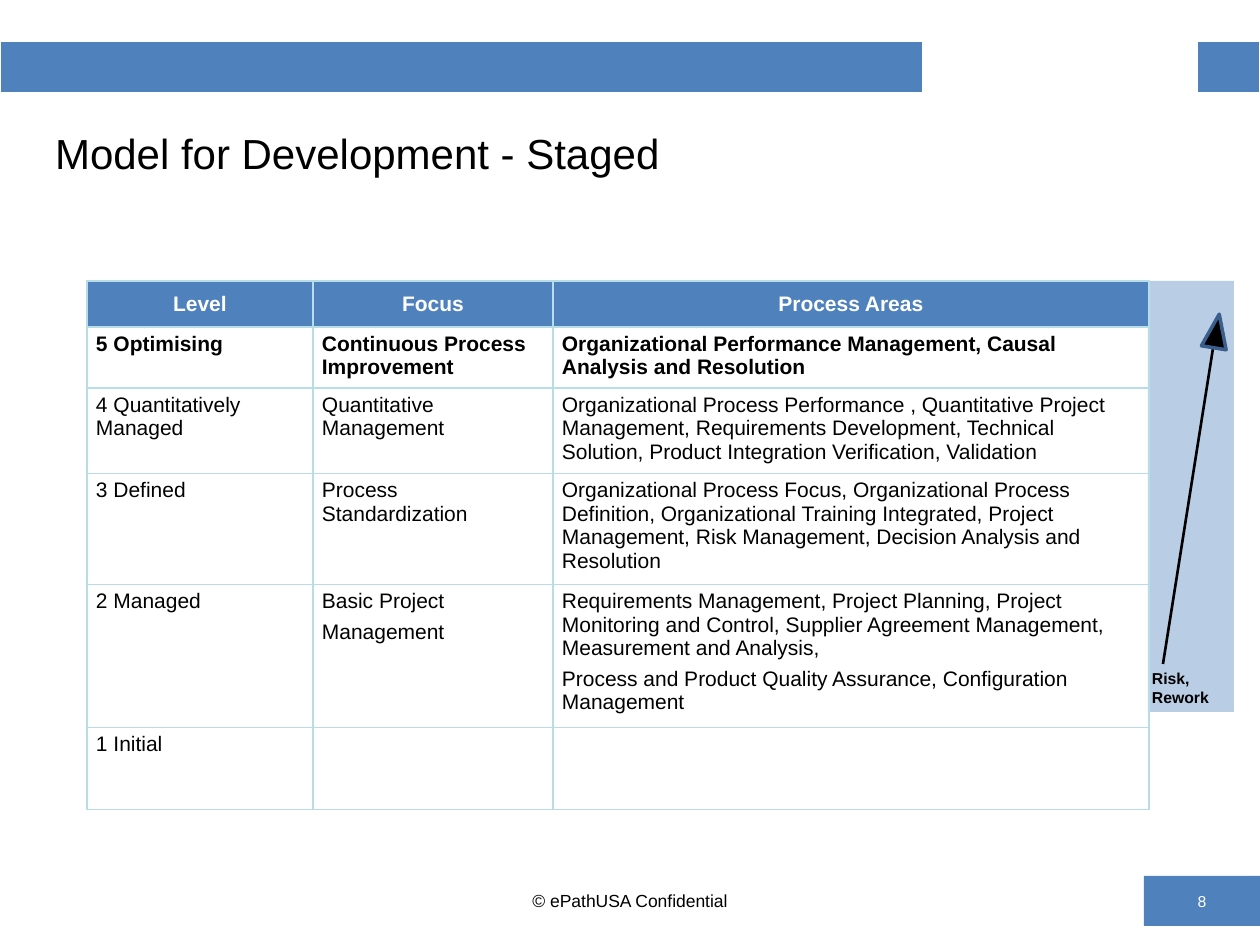
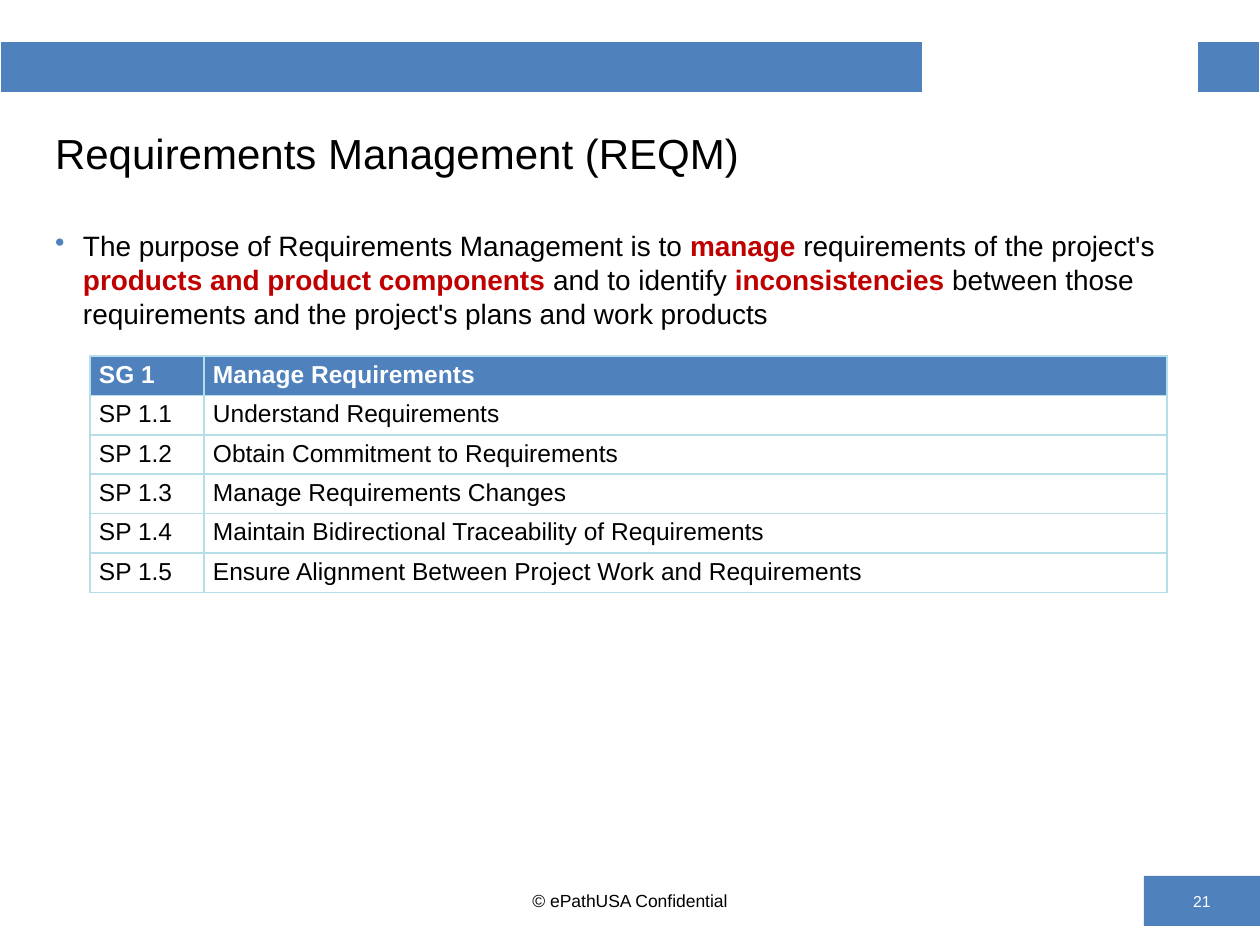
import dataclasses

import lxml.etree
import pptx
import pptx.dml.color
import pptx.enum.shapes
import pptx.enum.text
import pptx.oxml.ns
import pptx.util

SHAPE = pptx.enum.shapes.MSO_SHAPE
ALIGN = pptx.enum.text.PP_ALIGN
ANCHOR = pptx.enum.text.MSO_ANCHOR
EMU_PER_PX = 914400 / 126
SLIDE_WIDTH, SLIDE_HEIGHT = 1260, 945


@dataclasses.dataclass(frozen=True)
class Theme:
    font: str = "Arial"
    blue: str = "4F81BD"
    pale_blue: str = "B9CDE5"
    dark_blue: str = "3A5F8C"
    grid: str = "B7DEE8"
    red: str = "C00000"
    black: str = "000000"
    white: str = "FFFFFF"
    title: int = 24
    body: int = 16
    practice: int = 14
    level: int = 12
    footer: int = 10
    small: int = 9


THEME = Theme()

LEVEL_ROWS = [
    ("Level", "Focus", "Process Areas"),
    ("5 Optimising", "Continuous Process Improvement",
     "Organizational Performance Management, Causal Analysis and Resolution"),
    ("4 Quantitatively Managed", "Quantitative Management",
     "Organizational Process Performance , Quantitative Project Management, "
     "Requirements Development, Technical Solution, Product Integration "
     "Verification, Validation"),
    ("3 Defined", "Process Standardization",
     "Organizational Process Focus, Organizational Process Definition, "
     "Organizational Training Integrated, Project Management, Risk Management, "
     "Decision Analysis and Resolution"),
    ("2 Managed", "Basic Project\nManagement",
     "Requirements Management, Project Planning, Project Monitoring and Control, "
     "Supplier Agreement Management, Measurement and Analysis,\n"
     "Process and Product Quality Assurance, Configuration Management"),
    ("1 Initial", "", ""),
]

PRACTICE_ROWS = [
    ("SG 1", "Manage Requirements"),
    ("SP 1.1", "Understand Requirements"),
    ("SP 1.2", "Obtain Commitment to Requirements"),
    ("SP 1.3", "Manage Requirements Changes"),
    ("SP 1.4", "Maintain Bidirectional Traceability of Requirements"),
    ("SP 1.5", "Ensure Alignment Between Project Work and Requirements"),
]

PURPOSE = [  # text, emphasised
    ("The purpose of Requirements Management is to ", False),
    ("manage", True),
    (" requirements of the project's ", False),
    ("products and product components ", True),
    ("and to identify ", False),
    ("inconsistencies", True),
    (" between those requirements and the project's plans and work products", False),
]


def px(*lengths):
    return [pptx.util.Emu(round(length * EMU_PER_PX)) for length in lengths]


def rgb(color):
    return pptx.dml.color.RGBColor.from_string(color)


def style_font(font, size, color=THEME.black, bold=False):
    font.name = THEME.font
    font.size = pptx.util.Pt(size)
    font.bold = bold
    font.color.rgb = rgb(color)


def set_margins(target, horizontal, vertical):
    target.margin_left = target.margin_right = px(horizontal)[0]
    target.margin_top = target.margin_bottom = px(vertical)[0]


def write_text(frame, text, size, color=THEME.black, bold=False, align=ALIGN.LEFT):
    frame.text = text
    for index, paragraph in enumerate(frame.paragraphs):
        paragraph.alignment = align
        if index:
            paragraph.space_before = pptx.util.Pt(4)
        style_font(paragraph.font, size, color, bold)


def add_text_box(slide, box, anchor=ANCHOR.TOP, margins=(13, 6)):
    frame = slide.shapes.add_textbox(*px(*box)).text_frame
    frame.word_wrap = True
    frame.vertical_anchor = anchor
    set_margins(frame, *margins)
    return frame


def add_filled_shape(slide, kind, box, color):
    shape = slide.shapes.add_shape(kind, *px(*box))
    shape.shadow.inherit = False
    shape.fill.solid()
    shape.fill.fore_color.rgb = rgb(color)
    shape.line.fill.background()
    return shape


def style_cell(cell, fill, border, bottom_width=1):
    """Draw the four borders of a cell, then its fill, or none."""
    properties = cell._tc.get_or_add_tcPr()
    for side in "LRTB":
        width = bottom_width if side == "B" else 1
        line = lxml.etree.SubElement(properties, pptx.oxml.ns.qn(f"a:ln{side}"),
                                     w=str(pptx.util.Pt(width)))
        solid = lxml.etree.SubElement(line, pptx.oxml.ns.qn("a:solidFill"))
        lxml.etree.SubElement(solid, pptx.oxml.ns.qn("a:srgbClr"), val=border)
    if fill:
        cell.fill.solid()
        cell.fill.fore_color.rgb = rgb(fill)
    else:
        cell.fill.background()


def add_plain_table(slide, left, top, column_widths, row_heights):
    box = (left, top, sum(column_widths), sum(row_heights))
    table = slide.shapes.add_table(len(row_heights), len(column_widths), *px(*box)).table
    table.first_row = table.horz_banding = False
    for column, width in zip(table.columns, px(*column_widths)):
        column.width = width
    for row, height in zip(table.rows, px(*row_heights)):
        row.height = height
    return table


def add_grid(slide, left, top, column_widths, row_heights, rows, size,
             bold_rows=(0,), header_align=ALIGN.LEFT, header_anchor=ANCHOR.TOP):
    """Add a bordered table whose first row is a blue header."""
    table = add_plain_table(slide, left, top, column_widths, row_heights)
    for row_index, texts in enumerate(rows):
        is_header = row_index == 0
        for column_index, text in enumerate(texts):
            cell = table.cell(row_index, column_index)
            style_cell(cell, THEME.blue if is_header else None, THEME.grid)
            set_margins(cell, 9, 5)
            cell.vertical_anchor = header_anchor if is_header else ANCHOR.TOP
            write_text(cell.text_frame, text, size,
                       THEME.white if is_header else THEME.black,
                       row_index in bold_rows,
                       header_align if is_header else ALIGN.LEFT)


def add_top_band(slide):
    band = add_plain_table(slide, 0, 41, (923, 274, 63), (53,))
    for column_index, fill in enumerate((THEME.blue, None, THEME.blue)):
        style_cell(band.cell(0, column_index), fill, THEME.white, bottom_width=3)


def add_footer(slide, page_number):
    top, height = 876, 50
    page_box = add_filled_shape(slide, SHAPE.RECTANGLE, (1144, top, 116, height), THEME.blue)
    page_box.text_frame.vertical_anchor = ANCHOR.MIDDLE
    write_text(page_box.text_frame, str(page_number), THEME.small, THEME.white,
               align=ALIGN.CENTER)
    notice = add_text_box(slide, (430, top, 400, height), ANCHOR.MIDDLE)
    write_text(notice, "© ePathUSA Confidential", THEME.footer, align=ALIGN.CENTER)


def add_framed_slide(presentation, title, page_number):
    slide = presentation.slides.add_slide(presentation.slide_layouts[6])
    add_top_band(slide)
    write_text(add_text_box(slide, (42, 107, 1176, 92), ANCHOR.MIDDLE), title, THEME.title)
    add_footer(slide, page_number)
    return slide


def add_risk_panel(slide, left, top, width, height):
    """Add the pale strip with the rising arrow and its label."""
    add_filled_shape(slide, SHAPE.RECTANGLE, (left, top, width, height), THEME.pale_blue)
    label = add_text_box(slide, (left + 4, top + height - 43, 76, 38), margins=(0, 0))
    write_text(label, "Risk, Rework", THEME.small, bold=True)
    shaft = slide.shapes.add_connector(
        pptx.enum.shapes.MSO_CONNECTOR.STRAIGHT,
        *px(left + 15, top + height - 48, left + 67, top + 55))
    shaft.line.color.rgb = rgb(THEME.black)
    shaft.line.width = pptx.util.Pt(1.5)
    lxml.etree.SubElement(shaft._element.spPr, pptx.oxml.ns.qn("a:effectLst"))
    head = add_filled_shape(slide, SHAPE.ISOSCELES_TRIANGLE,
                            (left + 56, top + 33, 25, 34), THEME.black)
    head.rotation = 9.2
    head.line.color.rgb = rgb(THEME.dark_blue)
    head.line.width = pptx.util.Pt(2)


def add_purpose(slide, box):
    paragraph = add_text_box(slide, box).paragraphs[0]
    properties = paragraph._p.get_or_add_pPr()
    indent = px(28)[0]
    properties.set("marL", str(indent))
    properties.set("indent", str(-indent))
    bullet_color = lxml.etree.SubElement(properties, pptx.oxml.ns.qn("a:buClr"))
    lxml.etree.SubElement(bullet_color, pptx.oxml.ns.qn("a:srgbClr"), val=THEME.blue)
    lxml.etree.SubElement(properties, pptx.oxml.ns.qn("a:buChar"), char="•")
    for text, emphasised in PURPOSE:
        run = paragraph.add_run()
        run.text = text
        style_font(run.font, THEME.body, THEME.red if emphasised else THEME.black, emphasised)


def build_levels_slide(presentation):
    slide = add_framed_slide(presentation, "Model for Development - Staged", 8)
    top = 281
    add_risk_panel(slide, 1148, top, 86, 431)
    add_grid(slide, 87, top, (226, 240, 596), (46, 61, 85, 111, 142, 82), LEVEL_ROWS,
             THEME.level, bold_rows=(0, 1), header_align=ALIGN.CENTER,
             header_anchor=ANCHOR.MIDDLE)


def build_requirements_slide(presentation):
    slide = add_framed_slide(presentation, "Requirements Management (REQM)", 21)
    add_purpose(slide, (42, 223, 1176, 120))
    add_grid(slide, 90, 356, (114, 963), [38] * len(PRACTICE_ROWS), PRACTICE_ROWS,
             THEME.practice)


def main():
    presentation = pptx.Presentation()
    presentation.slide_width, presentation.slide_height = px(SLIDE_WIDTH, SLIDE_HEIGHT)
    build_levels_slide(presentation)
    build_requirements_slide(presentation)
    presentation.save("out.pptx")


if __name__ == "__main__":
    main()
